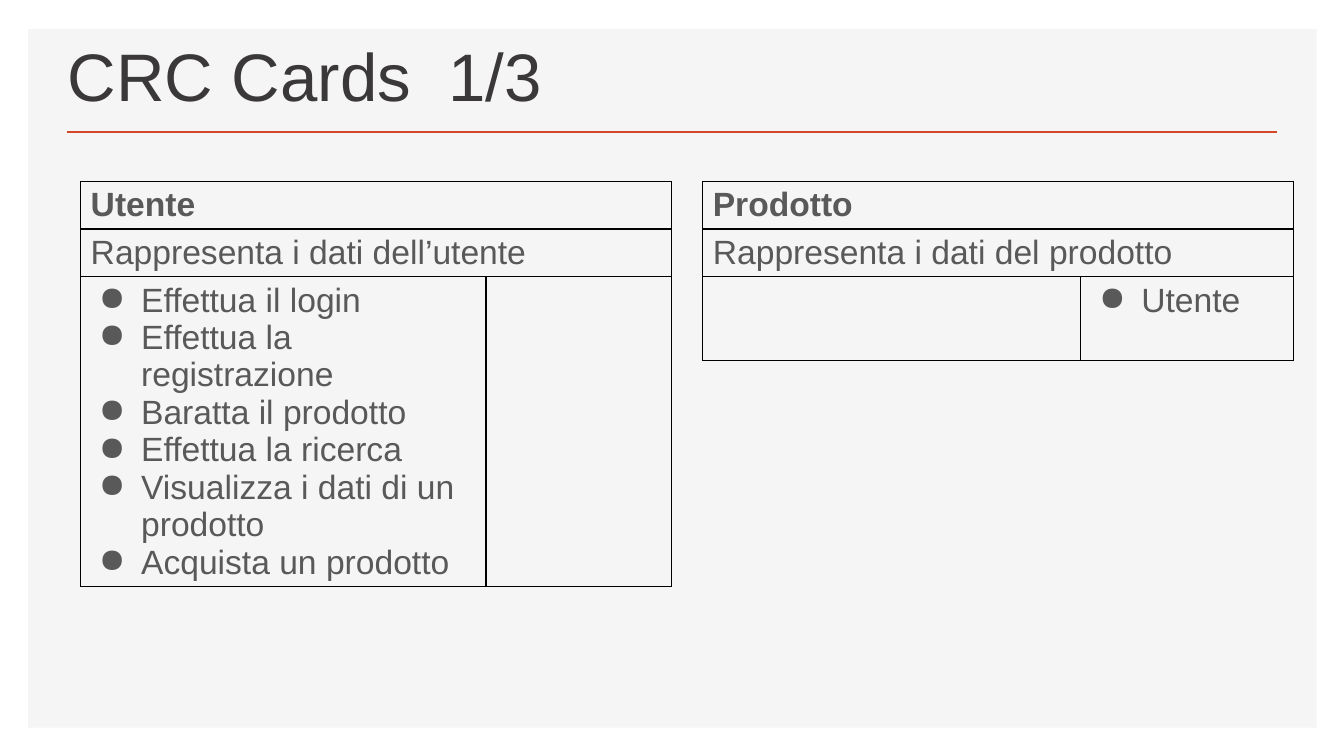
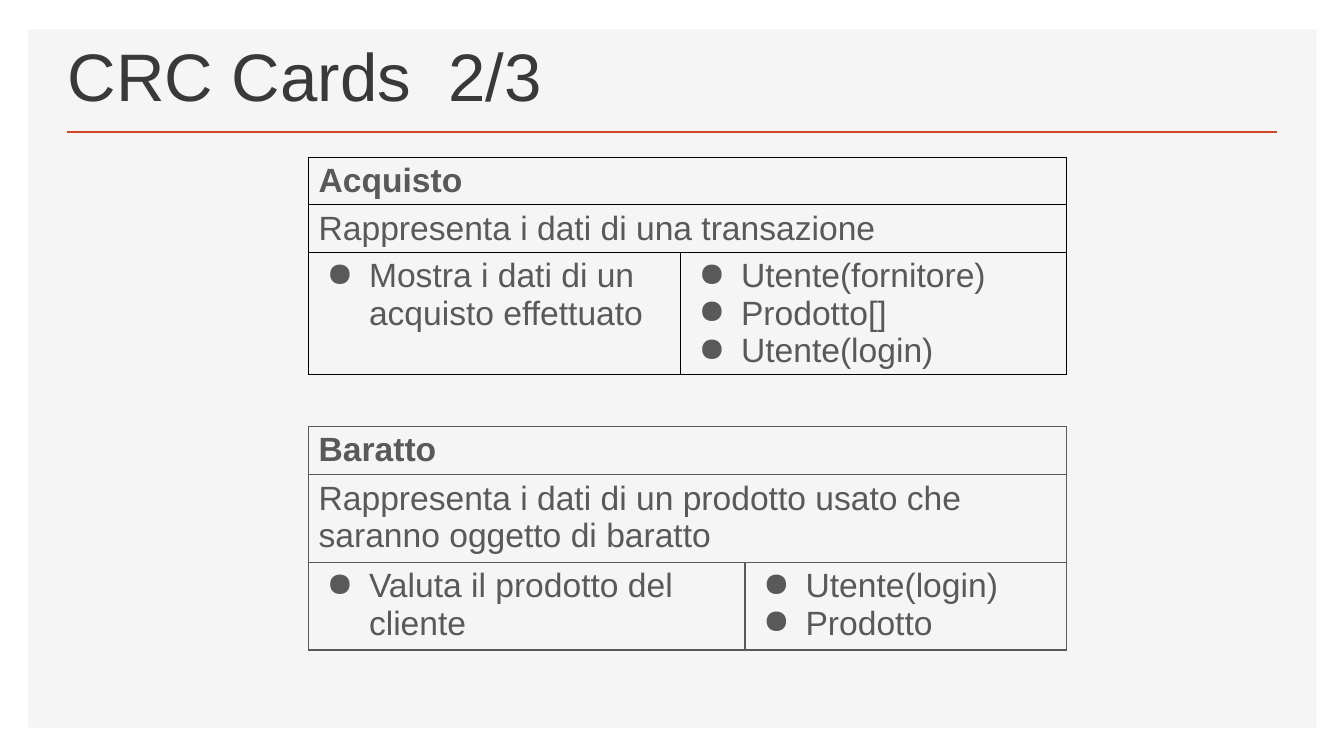
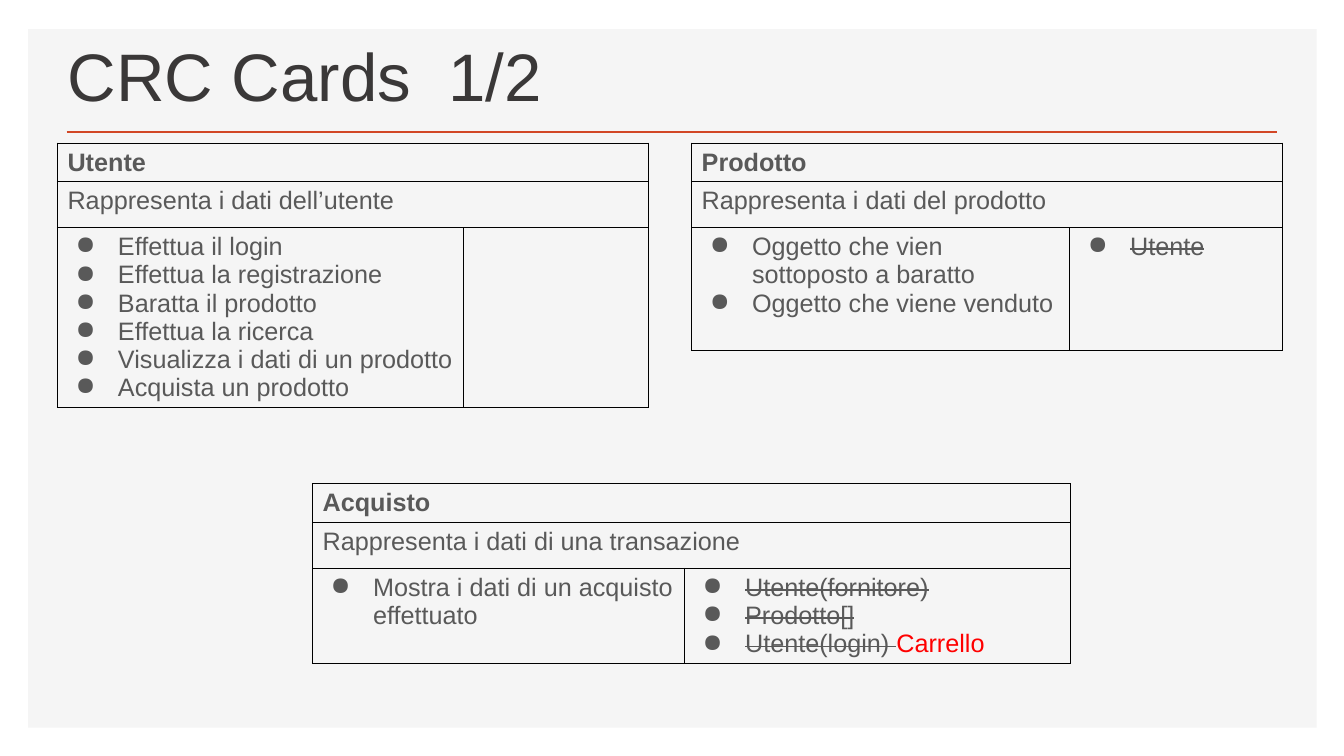
from dataclasses import dataclass

from lxml import etree
from pptx import Presentation
from pptx.dml.color import RGBColor
from pptx.enum.shapes import MSO_CONNECTOR, MSO_SHAPE
from pptx.enum.text import MSO_ANCHOR, MSO_AUTO_SIZE, PP_ALIGN
from pptx.oxml.ns import qn
from pptx.util import Inches, Pt

RECTANGLE = MSO_SHAPE.RECTANGLE
STRAIGHT = MSO_CONNECTOR.STRAIGHT
BOTTOM = MSO_ANCHOR.BOTTOM
NO_AUTOFIT = MSO_AUTO_SIZE.NONE
LEFT = PP_ALIGN.LEFT
TITLE_ONLY = 5
CARD_ROWS = (0.36, 0.46, 0.83)


@dataclass(frozen=True)
class Theme:
    font: str = "Arial"
    panel: str = "F5F5F5"
    accent: str = "D24726"
    title: str = "3A3838"
    body: str = "595959"
    border: str = "000000"
    added: str = "FF0000"
    title_size: int = 48
    large: int = 24
    small: int = 18


THEME = Theme()


@dataclass(frozen=True)
class Card:
    name: str
    description: str
    duties: tuple = ()
    partners: tuple = ()


USER = Card(
    "Utente",
    "Rappresenta i dati dell’utente",
    (
        "Effettua il login",
        "Effettua la registrazione",
        "Baratta il prodotto",
        "Effettua la ricerca",
        "Visualizza i dati di un prodotto",
        "Acquista un prodotto",
    ),
)
PRODUCT = Card("Prodotto", "Rappresenta i dati del prodotto", (), ("Utente",))
PURCHASE = Card(
    "Acquisto",
    "Rappresenta i dati di una transazione",
    ("Mostra i dati di un acquisto effettuato",),
    ("Utente(fornitore)", "Prodotto[]", "Utente(login)"),
)
BARTER = Card(
    "Baratto",
    "Rappresenta i dati di un prodotto usato che saranno oggetto di baratto",
    ("Valuta il prodotto del cliente",),
    ("Utente(login)", "Prodotto"),
)


def struck(text):
    return (text, {"strike": True})


REVISED_PRODUCT = Card(
    PRODUCT.name,
    PRODUCT.description,
    ("Oggetto che vien sottoposto a baratto", "Oggetto che viene venduto"),
    ([struck("Utente")],),
)
REVISED_PURCHASE = Card(
    PURCHASE.name,
    PURCHASE.description,
    PURCHASE.duties,
    (
        [struck("Utente(fornitore)")],
        [struck("Prodotto[]")],
        [struck("Utente(login) "), ("Carrello", {"color": THEME.added})],
    ),
)


def write_text(paragraph, text, size=THEME.large, color=THEME.body, bold=False, strike=False):
    run = paragraph.add_run()
    run.text = text
    run.font.name = THEME.font
    run.font.size = Pt(size)
    run.font.bold = bold
    run.font.color.rgb = RGBColor.from_string(color)
    if strike:
        run.font._element.set("strike", "sngStrike")


def add_bullet(paragraph):
    properties = paragraph._p.get_or_add_pPr()
    properties.set("marL", str(Inches(0.5)))
    properties.set("indent", str(Inches(-0.42)))
    color = etree.SubElement(properties, qn("a:buClr"))
    etree.SubElement(color, qn("a:srgbClr"), val=THEME.body)
    etree.SubElement(properties, qn("a:buChar"), char="●")


def write_list(cell, items, size):
    for index, item in enumerate(items):
        frame = cell.text_frame
        paragraph = frame.add_paragraph() if index else frame.paragraphs[0]
        add_bullet(paragraph)
        for text, style in [(item, {})] if isinstance(item, str) else item:
            write_text(paragraph, text, size=size, **style)


def style_cell(cell, border):
    cell.fill.background()
    properties = cell._tc.get_or_add_tcPr()
    for index, side in enumerate(("lnL", "lnR", "lnT", "lnB")):
        line = etree.Element(qn(f"a:{side}"), w=str(Pt(1)))
        fill = etree.SubElement(line, qn("a:solidFill"))
        etree.SubElement(fill, qn("a:srgbClr"), val=border)
        properties.insert(index, line)


def add_card(slide, card, left, top, width, split, size=THEME.large, border=THEME.border, rows=CARD_ROWS):
    frame = slide.shapes.add_table(
        3, 2, Inches(left), Inches(top), Inches(width), Inches(sum(rows))
    )
    table = frame.table
    table.first_row = False
    table.horz_banding = False
    for column, column_width in zip(table.columns, (split, width - split)):
        column.width = Inches(column_width)
    for row, height in zip(table.rows, rows):
        row.height = Inches(height)
    for cell in table.iter_cells():
        style_cell(cell, border)
    for index, text in enumerate((card.name, card.description)):
        cell = table.cell(index, 0)
        cell.merge(table.cell(index, 1))
        write_text(cell.text_frame.paragraphs[0], text, size=size, bold=index == 0)
    write_list(table.cell(2, 0), card.duties, size)
    write_list(table.cell(2, 1), card.partners, size)


def add_card_slide(presentation, title):
    slide = presentation.slides.add_slide(presentation.slide_layouts[TITLE_ONLY])
    frame = slide.shapes.title.text_frame
    frame.auto_size = NO_AUTOFIT
    frame.vertical_anchor = BOTTOM
    frame.word_wrap = True
    paragraph = frame.paragraphs[0]
    paragraph.alignment = LEFT
    write_text(paragraph, title, size=THEME.title_size, color=THEME.title)
    return slide


def decorate_layout(slide):
    layout = slide.slide_layout
    title = layout.placeholders[0]
    title.left, title.top = Inches(0.57), Inches(0.49)
    title.width, title.height = Inches(7.52), Inches(0.7)

    panel = slide.shapes.add_shape(
        RECTANGLE, Inches(0.28), Inches(0.29), Inches(12.78), Inches(6.93)
    )
    panel.shadow.inherit = False
    panel.fill.solid()
    panel.fill.fore_color.rgb = RGBColor.from_string(THEME.panel)
    panel.line.fill.background()

    rule = slide.shapes.add_connector(
        STRAIGHT, Inches(0.66), Inches(1.31), Inches(12.67), Inches(1.31)
    )
    rule.line.color.rgb = RGBColor.from_string(THEME.accent)
    rule.line.width = Pt(2)
    etree.SubElement(rule._element.spPr, qn("a:effectLst"))

    tree = layout.shapes._spTree
    for index, shape in enumerate((panel, rule)):
        element = shape._element
        element.xpath("./*/p:cNvPr")[0].set("id", str(20 + index))
        tree.insert(2 + index, element)


def main():
    presentation = Presentation()
    presentation.slide_width = Inches(13.33)
    presentation.slide_height = Inches(7.5)

    slide = add_card_slide(presentation, "CRC Cards  1/3")
    decorate_layout(slide)
    add_card(slide, USER, 0.8, 1.8, 5.86, 4.02)
    add_card(slide, PRODUCT, 6.97, 1.8, 5.86, 3.75)

    slide = add_card_slide(presentation, "CRC Cards  2/3")
    add_card(slide, PURCHASE, 3.06, 1.56, 7.52, 3.69)
    add_card(slide, BARTER, 3.06, 4.23, 7.52, 4.33, border=THEME.body, rows=(0.48, 0.87, 0.87))

    slide = add_card_slide(presentation, "CRC Cards  1/2")
    add_card(slide, USER, 0.57, 1.42, 5.86, 4.03, size=THEME.small)
    add_card(slide, REVISED_PRODUCT, 6.86, 1.42, 5.86, 3.75, size=THEME.small, rows=(0.36, 0.46, 1.22))
    add_card(slide, REVISED_PURCHASE, 3.1, 4.8, 7.52, 3.69, size=THEME.small)

    presentation.save("out.pptx")


if __name__ == "__main__":
    main()
